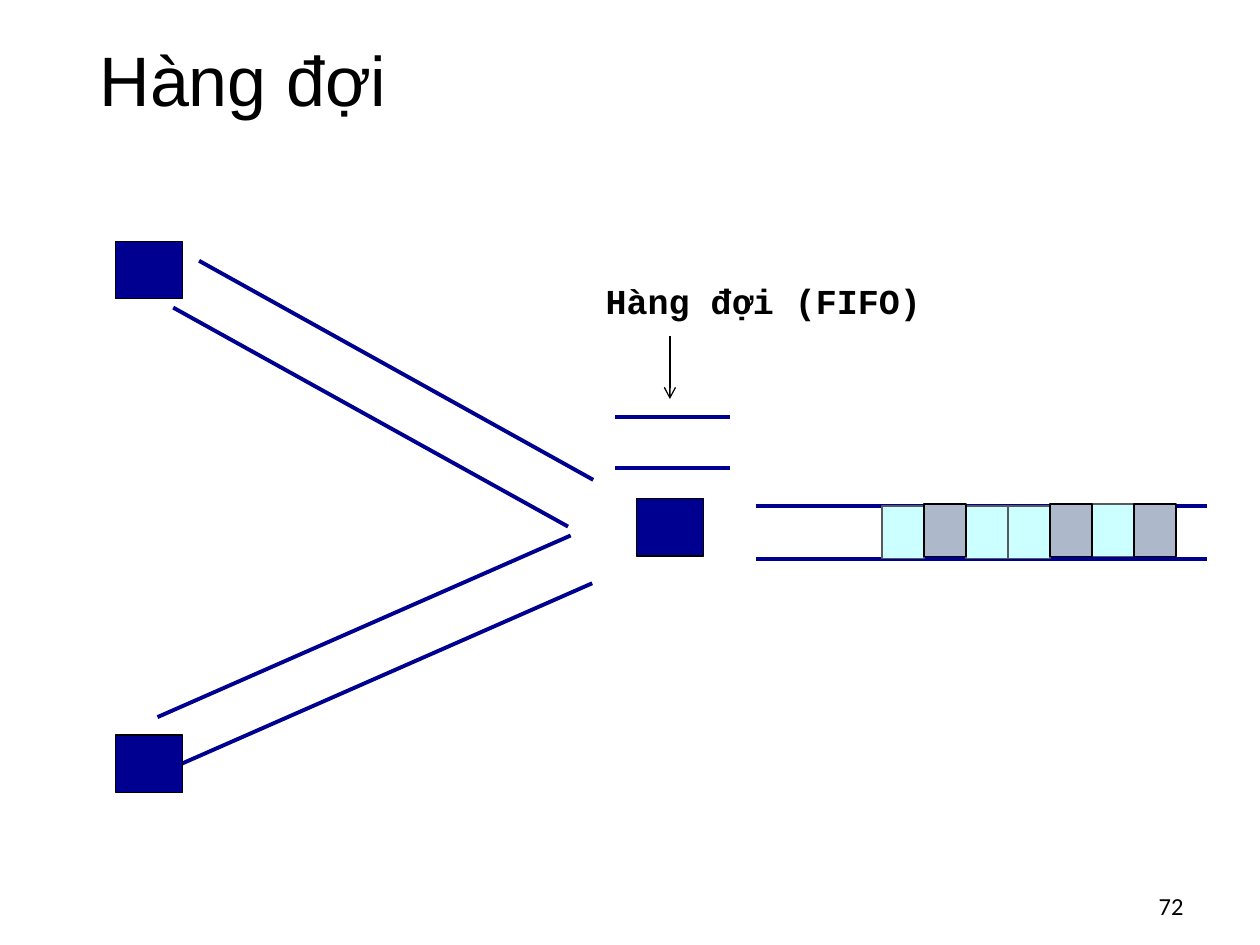
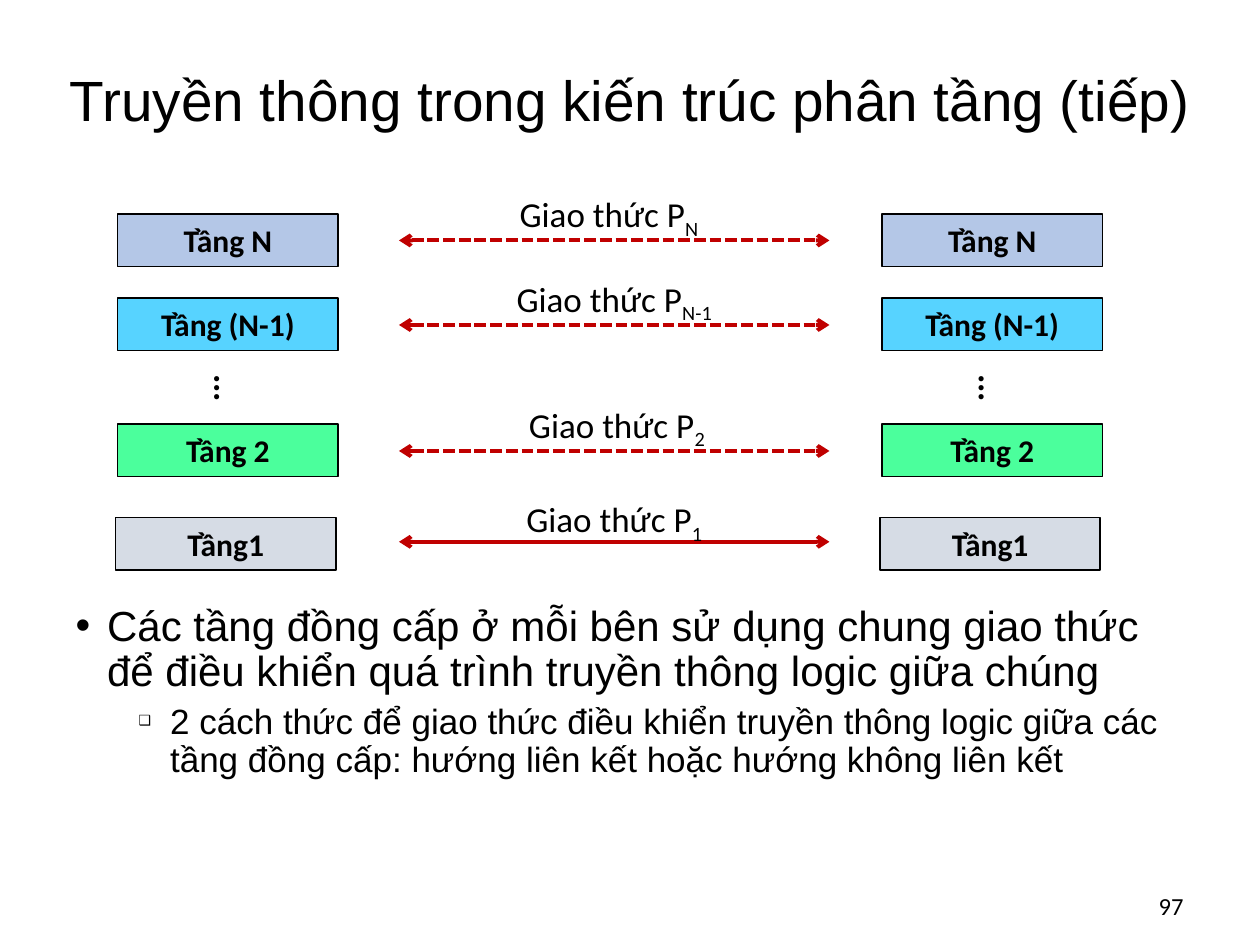
from lxml import etree
from pptx import Presentation
from pptx.dml.color import RGBColor
from pptx.enum.dml import MSO_LINE
from pptx.enum.shapes import MSO_CONNECTOR, MSO_SHAPE
from pptx.enum.text import MSO_ANCHOR, PP_ALIGN
from pptx.oxml.ns import qn
from pptx.util import Inches, Pt

RECT = MSO_SHAPE.RECTANGLE
STRAIGHT = MSO_CONNECTOR.STRAIGHT
DASH = MSO_LINE.SQUARE_DOT
LEFT, MID, RIGHT = PP_ALIGN.LEFT, PP_ALIGN.CENTER, PP_ALIGN.RIGHT
TOP, HALF = MSO_ANCHOR.TOP, MSO_ANCHOR.MIDDLE

BLACK = RGBColor(0x00, 0x00, 0x00)
NAVY = RGBColor(0x00, 0x00, 0x90)
RED = RGBColor(0xC0, 0x00, 0x00)
CYAN = RGBColor(0xCC, 0xFF, 0xFF)
GREY = RGBColor(0xAD, 0xB9, 0xCA)
SMOKE = RGBColor(0x59, 0x59, 0x59)
BLUE = RGBColor(0xB4, 0xC7, 0xE7)
SKY = RGBColor(0x57, 0xD3, 0xFF)
GREEN = RGBColor(0x4B, 0xFF, 0x9C)
PALE = RGBColor(0xD6, 0xDC, 0xE5)

deck = Presentation()
deck.slide_width, deck.slide_height = Inches(10), Inches(7.5)
CELL = deck.slide_width // 120


def place(shape, box):
    shape.left, shape.top, shape.width, shape.height = [int(n * CELL) for n in box]
    return shape


def write(shape, text, sub="", size=20, font="Calibri", bold=False, align=LEFT,
          anchor=TOP, wrap=True, lead=None, more=False):
    frame = shape.text_frame
    frame.word_wrap, frame.vertical_anchor = wrap, anchor
    para = frame.add_paragraph() if more else frame.paragraphs[0]
    para.alignment, para.line_spacing = align, lead
    for part in filter(None, (text, sub)):
        run = para.add_run()
        run.text = part
        run.font.size, run.font.name, run.font.bold = Pt(size), font, bold
        run.font.color.rgb = BLACK
    if sub:
        run.font._element.set("baseline", "-25000")
    return para


pages = []
for layout, title, box, size, align, number in (
    (5, "Hàng đợi", (8.28, 3.1, 103.4, 9.7), 40, LEFT, "72"),
    (1, "Truyền thông trong kiến trúc phân tầng (tiếp)", (0, 3.6, 120, 12.4), 32.4, MID, "97"),
):
    page = deck.slides.add_slide(deck.slide_layouts[layout])
    write(place(page.shapes.title, box), title, size=size, font="Arial",
          align=align, anchor=HALF, lead=0.9)
    label = place(page.shapes.add_textbox(0, 0, 0, 0), (106.3, 83.9, 7.6, 4.8))
    write(label, number, size=14, align=RIGHT, anchor=HALF)
    pages.append(page)
queue, stack = pages

layers = (
    ("Tầng N", "N", BLUE, 20.4, 0, 22.9, 38, 17.75),
    ("Tầng (N-1)", "N-1", SKY, 28.4, 0, 30.95, 38.5, 25.8),
    ("Tầng 2", "2", GREEN, 40.4, 0, 42.95, 38.75, 37.8),
    ("Tầng1", "1", PALE, 49.3, -0.2, 51.6, 38.5, 46.8),
)
sides = (11.2, 84)

lines = [(queue, ends, NAVY, 2.25, None, ()) for ends in (
    (18.96, 24.84, 56.5, 45.7), (16.5, 29.3, 54.1, 50.15),
    (15, 68.3, 54.35, 51), (17.05, 72.85, 56.4, 55.55),
    (72, 48.2, 115, 48.2), (72, 53.2, 115, 53.2),
    (58.6, 44.6, 69.5, 44.6), (58.6, 39.7, 69.5, 39.7),
)]
lines.append((queue, (63.8, 32, 63.8, 38), BLACK, 0.75, None, ("a:tailEnd",)))
for name, sub, fill, top, shift, mid, left, high in layers:
    dash = None if sub == "1" else DASH
    lines.append((stack, (38, mid, 79, mid), RED, 2.25, dash, ("a:headEnd", "a:tailEnd")))

for page, ends, color, width, dash, tips in lines:
    link = page.shapes.add_connector(STRAIGHT, *[int(n * CELL) for n in ends])
    link.line.color.rgb, link.line.width = color, Pt(width)
    if dash:
        link.line.dash_style = dash
    for tip in tips:
        etree.SubElement(link.line._get_or_add_ln(), qn(tip), type="arrow")
    etree.SubElement(link._element.spPr, qn("a:effectLst"))

boxes = [(queue, (left, top, 6.4, 5.45), NAVY, BLACK, 0.75, "")
         for left, top in ((11, 23), (11, 70), (60.6, 47.5))]
for fill, edge, top, slots in (
    (CYAN, SMOKE, 48, (5,)), (CYAN, SMOKE, 48.2, (0, 2, 3)), (GREY, BLACK, 48, (1, 4, 6)),
):
    for slot in slots:
        boxes.append((queue, (84 + 4 * slot, top, 4, 5), fill, edge, 0.75, ""))
for side in sides:
    for name, sub, fill, top, shift, mid, left, high in layers:
        boxes.append((stack, (side + shift, top, 21, 5), fill, BLACK, 1, name))

for page, box, fill, edge, width, name in boxes:
    rect = place(page.shapes.add_shape(RECT, 0, 0, 0, 0), box)
    rect.shadow.inherit = False
    rect.fill.solid()
    rect.fill.fore_color.rgb = fill
    rect.line.color.rgb, rect.line.width = edge, Pt(width)
    if name:
        write(rect, name, size=18, bold=True, align=MID, anchor=HALF)

label = place(queue.shapes.add_textbox(0, 0, 0, 0), (56.5, 26, 32.8, 5.3))
write(label, "Hàng đợi (FIFO)", font="Courier New", bold=True, wrap=False)

for side in sides:
    dots = place(stack.shapes.add_textbox(0, 0, 0, 0), (side + 7, 35.3, 7, 5.3))
    dots.rotation = 90
    write(dots, "...", bold=True)
for name, sub, fill, top, shift, mid, left, high in layers:
    label = place(stack.shapes.add_textbox(0, 0, 0, 0), (left, high, 40, 5.3))
    write(label, "Giao thức P", sub=sub, align=MID)

body = place(stack.placeholders[1], (6, 57, 108, 23.4))
for level, mark, scale, size, text in (
    (0, "•", 100, 24, "Các tầng đồng cấp ở mỗi bên sử dụng chung giao thức để điều khiển "
     "quá trình truyền thông logic giữa chúng"),
    (1, "❑", 40, 20, "2 cách thức để giao thức điều khiển truyền thông logic giữa các "
     "tầng đồng cấp: hướng liên kết hoặc hướng không liên kết"),
):
    para = write(body, text, size=size, font="Arial", lead=0.9, more=level > 0)
    para.level, para.space_before = level, Pt(5 * level)
    props = para._p.get_or_add_pPr()
    props.set("marL", str(Inches(0.25 + 0.5 * level)))
    props.set("indent", str(-Inches(0.25)))
    etree.SubElement(props, qn("a:buSzPct"), val=str(scale * 1000))
    etree.SubElement(props, qn("a:buFont"), typeface="Arial")
    etree.SubElement(props, qn("a:buChar"), char=mark)

deck.save("out.pptx")
